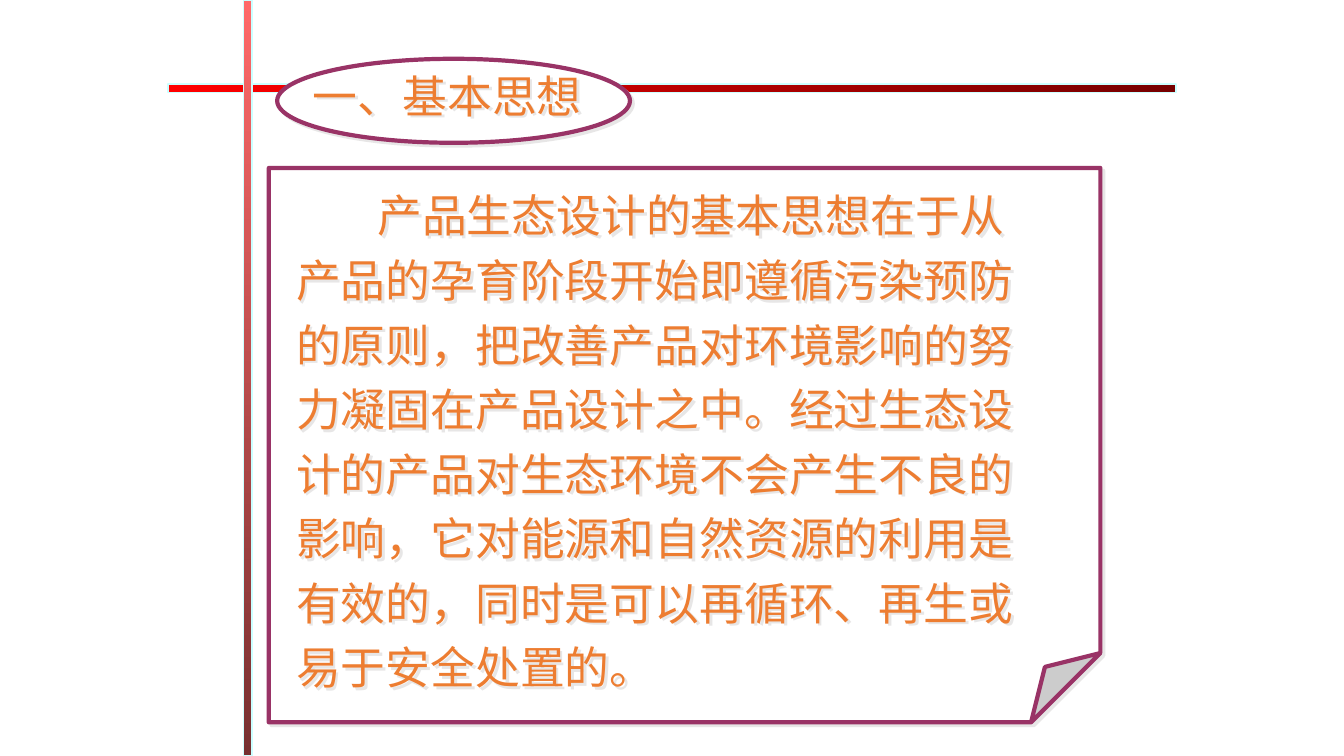
"""Build the slide on the basic idea of ecological product design."""
from lxml.etree import SubElement
from pptx import Presentation
from pptx.dml.color import RGBColor
from pptx.enum.shapes import MSO_SHAPE
from pptx.enum.text import MSO_ANCHOR, PP_ALIGN
from pptx.oxml.ns import qn
from pptx.util import Pt


def color(value):
    return RGBColor.from_string(value)


def add_shadow(shape):
    shape.shadow.inherit = False
    effects = shape.element.spPr.find(qn("a:effectLst"))
    shadow = SubElement(effects, qn("a:outerShdw"), dist=str(Pt(2.8)),
                        dir="2700000", algn="ctr", rotWithShape="0")
    SubElement(shadow, qn("a:srgbClr"), val="E7E6E6")


prs = Presentation()
prs.slide_width, prs.slide_height = Pt(960), Pt(540)
slide = prs.slides.add_slide(prs.slide_layouts[5])
shapes = slide.shapes

bars = [
    (120, 60, 720, 6, 0, ("FF0000", "760000")),
    (174, 0, 6, 540, 270, ("FF6969", "763030")),
]
for left, top, width, height, angle, shades in bars:
    bar = shapes.add_shape(MSO_SHAPE.RECTANGLE, Pt(left), Pt(top), Pt(width), Pt(height))
    bar.shadow.inherit = False
    bar.fill.gradient()
    bar.fill.gradient_angle = angle
    for stop, shade in zip(bar.fill.gradient_stops, shades):
        stop.color.rgb = color(shade)
    bar.line.color.rgb = color("CCFFFF")
    bar.line.width = Pt(1)

page = shapes.add_shape(MSO_SHAPE.FOLDED_CORNER, Pt(192), Pt(120), Pt(594), Pt(396))
page_geometry = page.element.spPr.find(qn("a:prstGeom"))
SubElement(page_geometry.get_or_add_avLst(), qn("a:gd"), name="adj", fmla="val 12500")
heading_oval = shapes.add_shape(MSO_SHAPE.OVAL, Pt(198), Pt(42), Pt(252), Pt(60))
for panel in (page, heading_oval):
    panel.fill.solid()
    panel.fill.fore_color.rgb = color("FFFFFF")
    panel.line.color.rgb = color("993366")
    panel.line.width = Pt(3)
    add_shadow(panel)

heading = shapes.title
heading.left, heading.top, heading.width, heading.height = Pt(222), Pt(48), Pt(210), Pt(40)
shapes.element.append(heading.element)
idea = shapes.add_textbox(Pt(210), Pt(126), Pt(528), Pt(374))

texts = [
    (heading, 1.0, 0, "一、基本思想"),
    (idea, 1.2, 58, "产品生态设计的基本思想在于从产品的孕育阶段开始即遵循污染预防的原则，"
     "把改善产品对环境影响的努力凝固在产品设计之中。经过生态设计的产品对生态环境不会产生不良的影响，"
     "它对能源和自然资源的利用是有效的，同时是可以再循环、再生或易于安全处置的。"),
]
for box, spacing, indent, wording in texts:
    add_shadow(box)
    frame = box.text_frame
    frame.word_wrap = True
    frame.vertical_anchor = MSO_ANCHOR.TOP
    frame.margin_left = frame.margin_right = Pt(1.5)
    frame.margin_top = frame.margin_bottom = Pt(0.75)
    frame.text = wording
    paragraph = frame.paragraphs[0]
    paragraph.alignment = PP_ALIGN.LEFT
    paragraph.line_spacing = spacing
    properties = paragraph._p.get_or_add_pPr()
    properties.set("marL", "0")
    properties.set("indent", str(Pt(indent)))
    paragraph.font.name = "Times New Roman"
    paragraph.font.size = Pt(32)
    paragraph.font.color.rgb = color("ED7D31")

prs.save("out.pptx")
